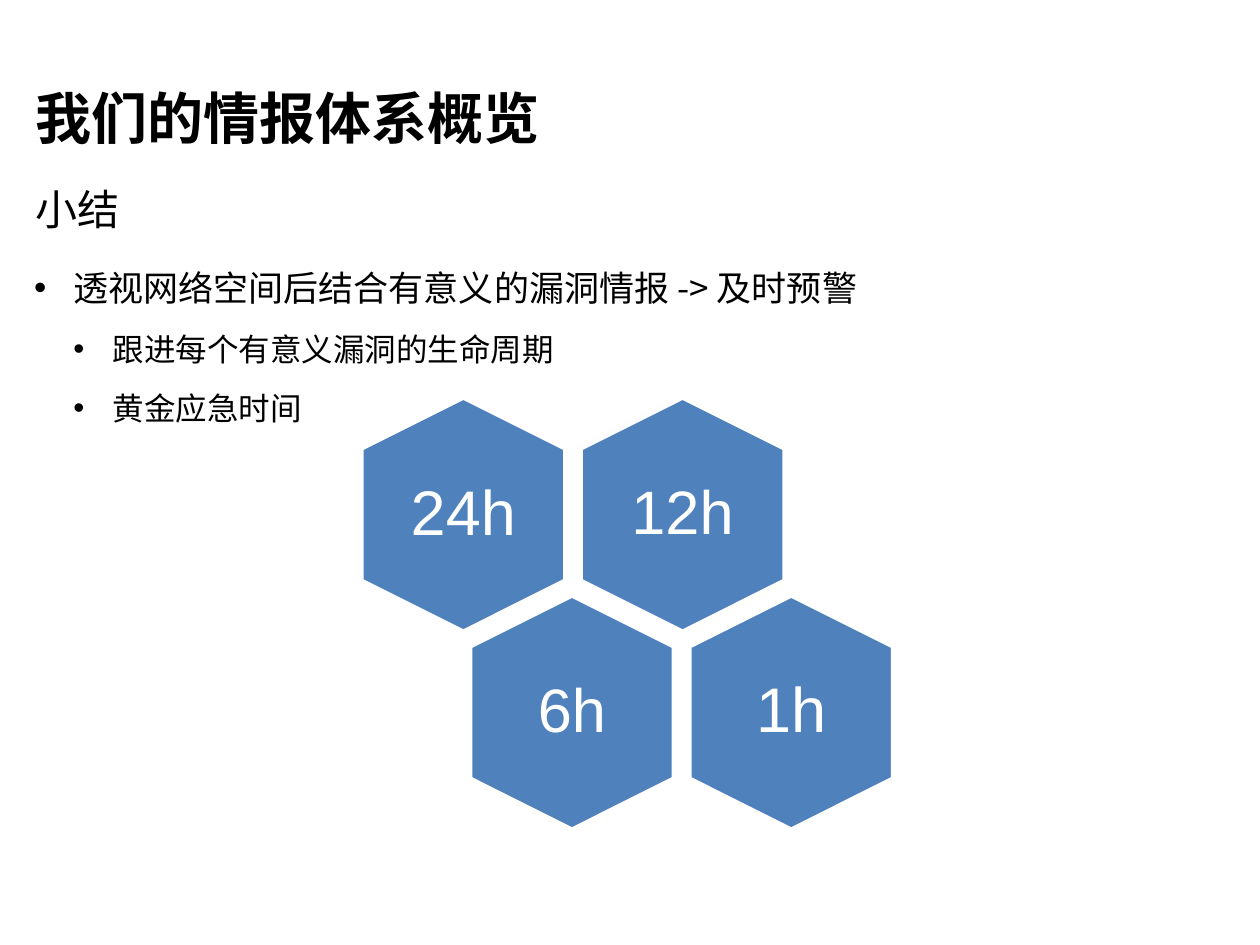
from lxml import etree
from pptx import Presentation
from pptx.dml.color import RGBColor
from pptx.enum.shapes import MSO_SHAPE
from pptx.enum.text import MSO_ANCHOR, PP_ALIGN
from pptx.oxml.ns import qn
from pptx.util import Cm, Pt

HEXAGON = MSO_SHAPE.HEXAGON
TOP, MIDDLE = MSO_ANCHOR.TOP, MSO_ANCHOR.MIDDLE
CENTER = PP_ALIGN.CENTER
CJK = "Noto Sans CJK SC"


def rgb(value):
    return RGBColor.from_string(value)


def add_text(slide, box, lines, anchor, color="000000", para=None, **font):
    tf = slide.shapes.add_textbox(*[Cm(v) for v in box]).text_frame
    frame = dict(word_wrap=True, vertical_anchor=anchor, margin_left=0,
                 margin_right=0, margin_top=0, margin_bottom=0)
    for name, value in frame.items():
        setattr(tf, name, value)
    for i, (text, size) in enumerate(lines):
        p = tf.add_paragraph() if i else tf.paragraphs[0]
        for name, value in (para or {}).items():
            setattr(p, name, value)
        r = p.add_run()
        r.text = text
        for name, value in dict(font, size=Pt(size)).items():
            setattr(r.font, name, value)
        r.font.color.rgb = rgb(color)
        etree.SubElement(r.font._element, qn("a:ea"), typeface=CJK)
    return tf


prs = Presentation()
prs.slide_width, prs.slide_height = Cm(25.4), Cm(19.05)
s = prs.slides.add_slide(prs.slide_layouts[6])

add_text(s, (0.71, 1.93, 22.78, 1.47), [("我们的情报体系概览", 32)], MIDDLE,
         para={"line_spacing": Pt(21)}, name="Arial", bold=True)
add_text(s, (0.71, 3.68, 22.81, 1.04), [("小结", 24)], MIDDLE, name="Arial")

points = [("透视网络空间后结合有意义的漏洞情报 -> 及时预警", 20),
          ("跟进每个有意义漏洞的生命周期", 18),
          ("黄金应急时间", 18)]
tf = add_text(s, (0.69, 5.38, 24, 12.14), points, TOP,
              para={"space_after": Pt(12)}, name=CJK)
for p, level in zip(tf.paragraphs, (0, 1, 1)):
    p.level = level
    pPr = p._p.get_or_add_pPr()
    pPr.set("marL", str(Cm(0.79 * (level + 1))))
    pPr.set("indent", str(Cm(-0.79)))
    etree.SubElement(pPr, qn("a:buFont"), typeface="Arial")
    etree.SubElement(pPr, qn("a:buChar"), char="•")

hex_w, hex_h = 4.7, 4.09
text_w, text_h = 2.82, 3.23
hours = [[("24h", 36), ("12h", 35)], [("6h", 35), ("1h", 36)]]
for row, cells in enumerate(hours):
    for col, label in enumerate(cells):
        x = 6.99 + 4.42 * col + 2.19 * row
        y = 8.33 + 3.99 * row
        sp = s.shapes.add_shape(HEXAGON, Cm(x), Cm(y), Cm(hex_w), Cm(hex_h))
        sp.rotation = 90
        sp.adjustments[0] = 0.25
        sp.shadow.inherit = False
        sp.fill.solid()
        sp.fill.fore_color.rgb = rgb("4F81BD")
        sp.line.color.rgb = rgb("FFFFFF")
        sp.line.width = Pt(2)
        box = (x + (hex_w - text_w) / 2, y + (hex_h - text_h) / 2, text_w, text_h)
        add_text(s, box, [label], MIDDLE, "FFFFFF",
                 {"alignment": CENTER, "line_spacing": 0.9}, name="Arial")

prs.save("out.pptx")
